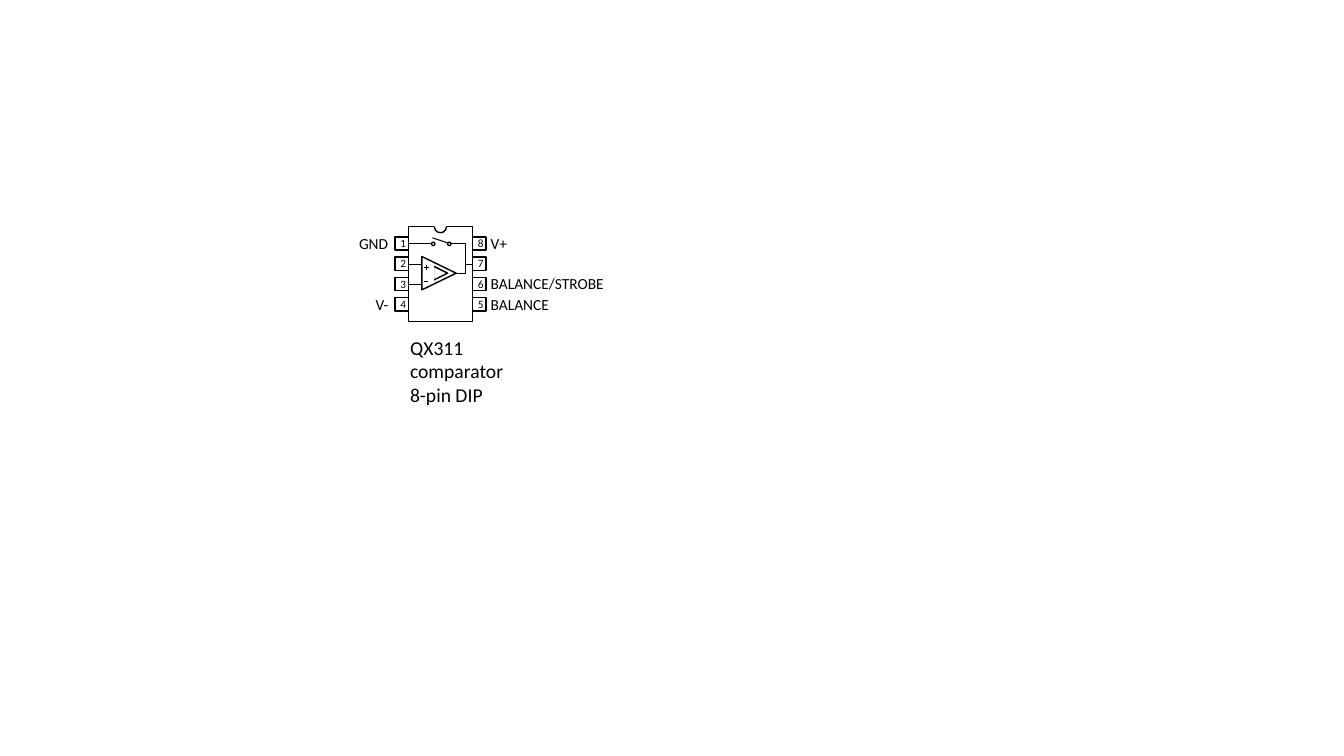
import pptx
import pptx.util
import pptx.dml.color
import pptx.enum.shapes
import pptx.enum.text
import pptx.oxml

Pt = pptx.util.Pt
SHAPE = pptx.enum.shapes.MSO_SHAPE
ALIGN = pptx.enum.text.PP_ALIGN
COLOURS = {name: pptx.dml.color.RGBColor.from_string(value)
           for name, value in {"ink": "000000", "paper": "FFFFFF"}.items()}

deck = pptx.Presentation()
deck.slide_width, deck.slide_height = Pt(960), Pt(540)
page = deck.slides.add_slide(deck.slide_layouts[6])


def add_part(kind, left, top, width, height, filled=True, outlined=True):
    part = page.shapes.add_shape(kind, Pt(left), Pt(top), Pt(width), Pt(height))
    part.shadow.inherit = False
    if filled:
        part.fill.solid()
        part.fill.fore_color.rgb = COLOURS["paper"]
    else:
        part.fill.background()
    if outlined:
        part.line.color.rgb = COLOURS["ink"]
        part.line.width = Pt(1)
    else:
        part.line.fill.background()
    return part


def add_label(lines, left, top, width, height, size, align):
    box = page.shapes.add_textbox(Pt(left), Pt(top), Pt(width), Pt(height))
    frame = box.text_frame
    frame.word_wrap = True
    frame.auto_size = pptx.enum.text.MSO_AUTO_SIZE.SHAPE_TO_FIT_TEXT
    frame.text = "\n".join(lines)
    for para in frame.paragraphs:
        para.alignment = align
        para.font.name = "Calibri"
        para.font.size = Pt(size)
        para.font.color.rgb = COLOURS["ink"]


# Pins run behind the chip body
PIN_PITCH = 14.5
for row in range(4):
    add_part(SHAPE.RECTANGLE, 282.3, 169.2 + row * PIN_PITCH, 64.8, 9.4, filled=False)

# Chip body with its notch
add_part(SHAPE.RECTANGLE, 291.6, 162, 46.1, 67.7)
add_part(SHAPE.RECTANGLE, 310.3, 157.7, 8.6, 8, outlined=False)
notch = add_part(SHAPE.ARC, 310.3, 157.7, 8.6, 8.6, filled=False)
notch.adjustments[0] = 0
notch.adjustments[1] = 108

# Pin numbers and names
left_names = ["GND", None, None, "V-"]
right_names = ["V+", None, "BALANCE/STROBE", "BALANCE"]
for row, (left_name, right_name) in enumerate(zip(left_names, right_names)):
    number_top = 165.4 + row * PIN_PITCH
    name_top = 163.4 + row * PIN_PITCH
    add_label([str(row + 1)], 275.2, number_top, 25.9, 17, 8, ALIGN.CENTER)
    add_label([str(8 - row)], 330.5, number_top, 25.9, 17, 8, ALIGN.CENTER)
    if left_name:
        add_label([left_name], 241.9, name_top, 42.5, 20.6, 11, ALIGN.RIGHT)
    if right_name:
        add_label([right_name], 343.4, name_top, 117.4, 20.6, 11, ALIGN.LEFT)

add_label(["QX311", "comparator", "8-pin DIP"], 285.8, 236.2, 90, 58.3, 14, ALIGN.LEFT)

# Comparator: outer triangle, and an inner one whose left edge is masked
for left, top, width, height in [(301.7, 182.9, 23.8, 24.5), (309.6, 190.1, 10.1, 10.1)]:
    triangle = add_part(SHAPE.ISOSCELES_TRIANGLE, left, top, width, height, filled=False)
    triangle.rotation = 90
add_part(SHAPE.RECTANGLE, 307.8, 189.4, 2.2, 12.2, outlined=False)

# Straight wires, signs and the switch arm
wires = []
wires += [
    (303.1, 200.9, 306, 200.9),      # minus sign
    (304.6, 189.4, 304.6, 193),      # plus sign
    (303.1, 190.8, 306.4, 190.8),
    (291.6, 174.2, 308.2, 174.2),    # pin 1 to switch
    (291.6, 188.6, 301, 188.6),      # pin 2 to plus input
    (291.6, 203, 301, 203),          # pin 3 to minus input
    (308.9, 169.9, 319.7, 173.5),    # switch arm
    (325.8, 195.1, 332.6, 195.1),    # comparator output
]
for x1, y1, x2, y2 in wires:
    wire = page.shapes.add_connector(
        pptx.enum.shapes.MSO_CONNECTOR.STRAIGHT, Pt(x1), Pt(y1), Pt(x2), Pt(y2))
    wire.line.color.rgb = COLOURS["ink"]
    wire.line.width = Pt(0.75)
    wire._element.spPr.append(pptx.oxml.parse_xml(
        '<a:effectLst xmlns:a="http://schemas.openxmlformats.org/drawingml/2006/main"/>'))

# Bent wires: output to pin 7, and switch to output
bent_wires = [
    [(332.6, 195.1), (332.6, 188.6), (337.7, 188.6)],
    [(321.8, 174.2), (332.6, 174.2), (332.6, 188.6)],
]
for points in bent_wires:
    start, *rest = [(Pt(x), Pt(y)) for x, y in points]
    builder = page.shapes.build_freeform(*start)
    builder.add_line_segments(rest, close=False)
    bend = builder.convert_to_shape()
    bend.shadow.inherit = False
    bend.fill.background()
    bend.line.color.rgb = COLOURS["ink"]
    bend.line.width = Pt(0.75)

# Switch contacts
for left in (308.2, 319.7):
    add_part(SHAPE.OVAL, left, 173, 2.4, 2.4)

deck.save("out.pptx")
